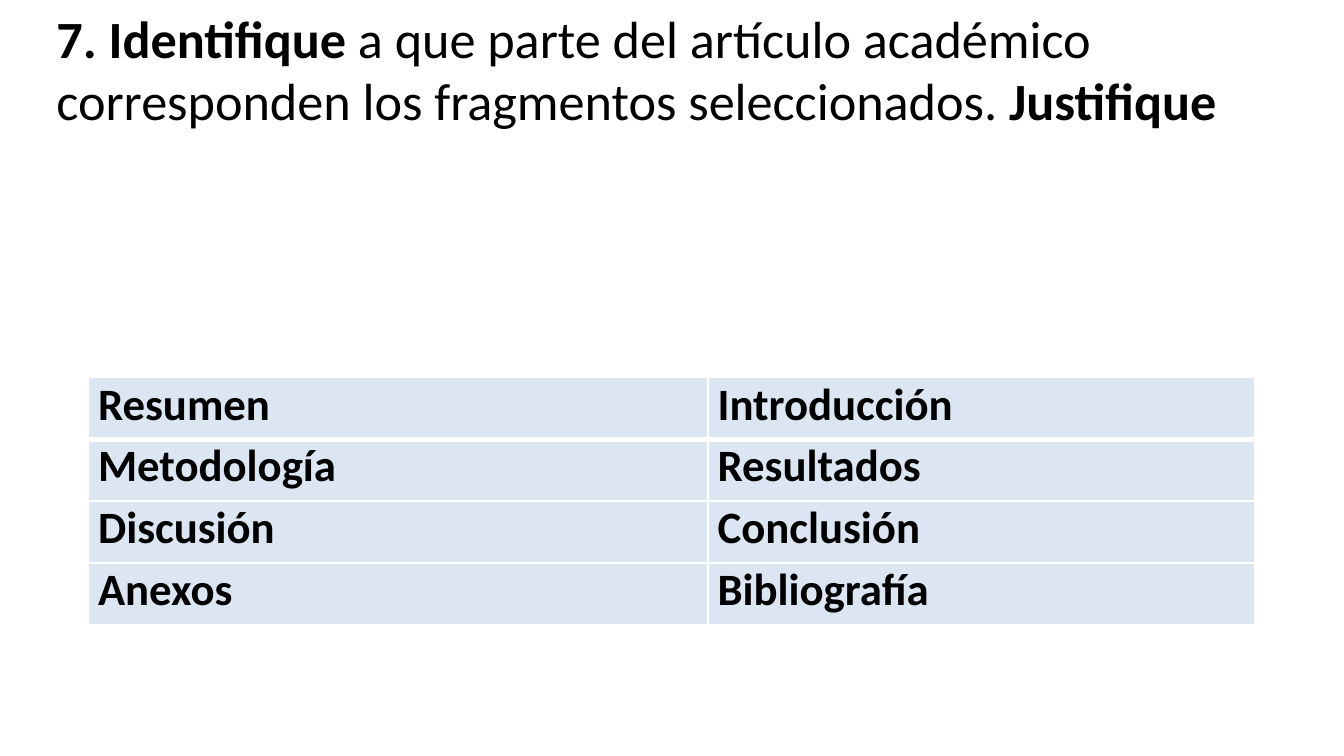
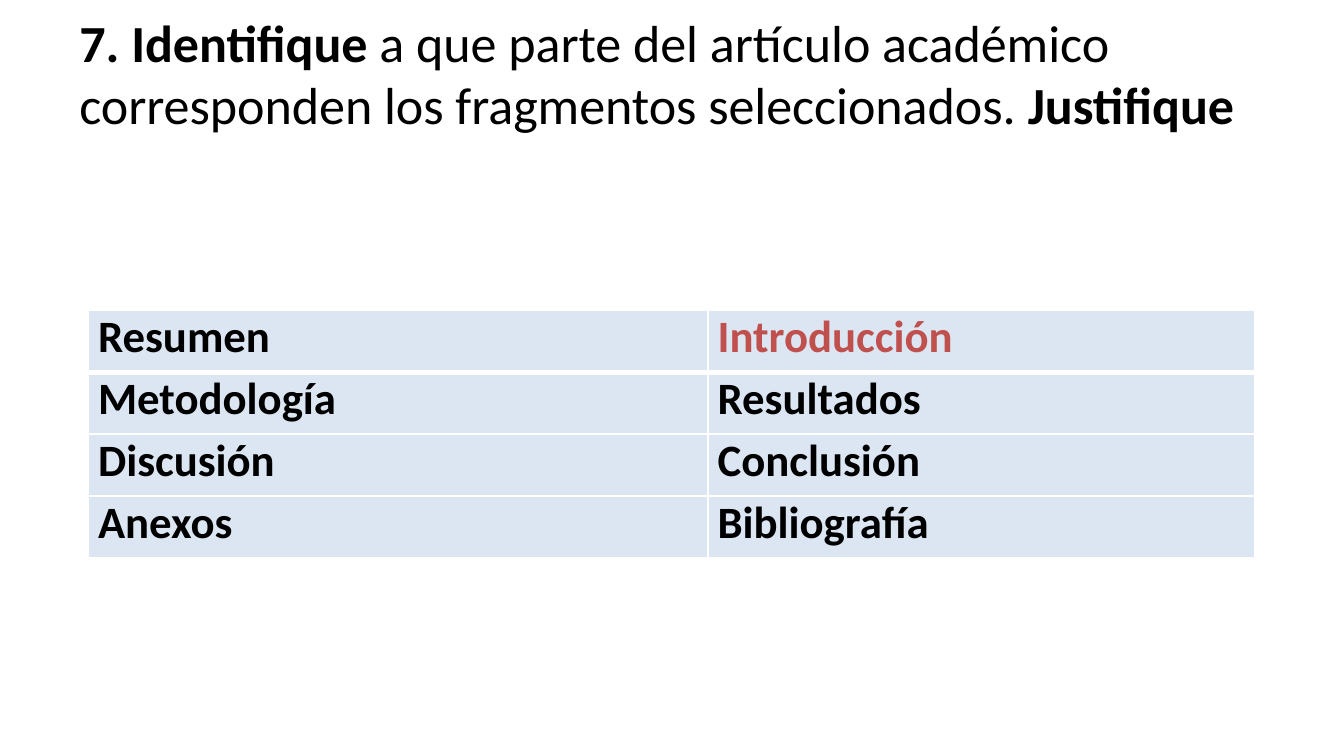
import dataclasses
import pptx
import pptx.util
import pptx.dml.color
import pptx.enum.text
import pptx.oxml
import pptx.oxml.ns

Inches = pptx.util.Inches
Pt = pptx.util.Pt


@dataclasses.dataclass(frozen=True)
class Theme:
    font: str = "Calibri"
    ink: str = "000000"
    mark: str = "C0504D"
    cell: str = "DCE6F2"
    line: str = "FFFFFF"
    body: float = 24
    thin: float = 1
    thick: float = 3


THEME = Theme()
TITLE = [
    ("7. Identifique ", True),
    ("a que parte del artículo académico corresponden los fragmentos seleccionados. ", False),
    ("Justifique", True),
]
PARTS = [
    ("Resumen", "Introducción"),
    ("Metodología", "Resultados"),
    ("Discusión", "Conclusión"),
    ("Anexos", "Bibliografía"),
]
COLS = (4.61, 4.07)


def color(code):
    return pptx.dml.color.RGBColor.from_string(code)


def add_run(para, text, size, bold=True, ink=THEME.ink):
    run = para.add_run()
    run.text = text
    run.font.name = THEME.font
    run.font.size = Pt(size)
    run.font.bold = bold
    run.font.color.rgb = color(ink)


def add_title(slide, box, size, foot):
    title = slide.shapes.title
    title.left, title.top, title.width, title.height = map(Inches, box)
    frame = title.text_frame
    frame.word_wrap = True
    frame.auto_size = pptx.enum.text.MSO_AUTO_SIZE.NONE
    frame.vertical_anchor = pptx.enum.text.MSO_ANCHOR.MIDDLE
    frame.margin_left = frame.margin_right = Inches(0.1)
    frame.margin_top = Inches(0.05)
    frame.margin_bottom = Inches(foot)
    para = frame.paragraphs[0]
    para.alignment = pptx.enum.text.PP_ALIGN.LEFT
    for text, bold in TITLE:
        add_run(para, text, size, bold)


def add_edge(cell, side, width):
    space = pptx.oxml.ns.nsdecls("a")
    cell._tc.get_or_add_tcPr().append(pptx.oxml.parse_xml(
        f'<a:ln{side} {space} w="{Pt(width)}"><a:solidFill>'
        f'<a:srgbClr val="{THEME.line}"/></a:solidFill></a:ln{side}>'
    ))


def style_cell(cell, row):
    cell.margin_left = cell.margin_right = Inches(0.07)
    cell.margin_top = cell.margin_bottom = 0
    above = THEME.thick if row == 1 else THEME.thin
    below = THEME.thick if row == 0 else THEME.thin
    for side, width in (("L", THEME.thin), ("R", THEME.thin), ("T", above), ("B", below)):
        add_edge(cell, side, width)
    cell.fill.solid()
    cell.fill.fore_color.rgb = color(THEME.cell)


def add_parts(slide, box, answer):
    left, top, width, height = map(Inches, box)
    table = slide.shapes.add_table(len(PARTS), len(COLS), left, top, width, height).table
    table.horz_banding = False
    for col, size in zip(table.columns, COLS):
        col.width = Inches(size)
    for y, names in enumerate(PARTS):
        table.rows[y].height = height // len(PARTS)
        for x, name in enumerate(names):
            cell = table.cell(y, x)
            style_cell(cell, y)
            para = cell.text_frame.paragraphs[0]
            para.alignment = pptx.enum.text.PP_ALIGN.JUSTIFY
            add_run(para, name, THEME.body, ink=THEME.mark if name == answer else THEME.ink)


def add_task(deck, left, size, foot, top, answer=None):
    slide = deck.slides.add_slide(deck.slide_layouts[5])
    add_title(slide, (left, 0.31, 9.51 - left, 1), size, foot)
    add_parts(slide, (0.66, top, sum(COLS), 1.84), answer)


def main():
    deck = pptx.Presentation()
    deck.slide_width = Inches(10)
    deck.slide_height = deck.slide_width * 9 // 16
    add_task(deck, left=0.32, size=28, foot=0.65, top=2.81)
    add_task(deck, left=0.49, size=27.9, foot=0.59, top=2.31, answer="Introducción")
    deck.save("out.pptx")


if __name__ == "__main__":
    main()
